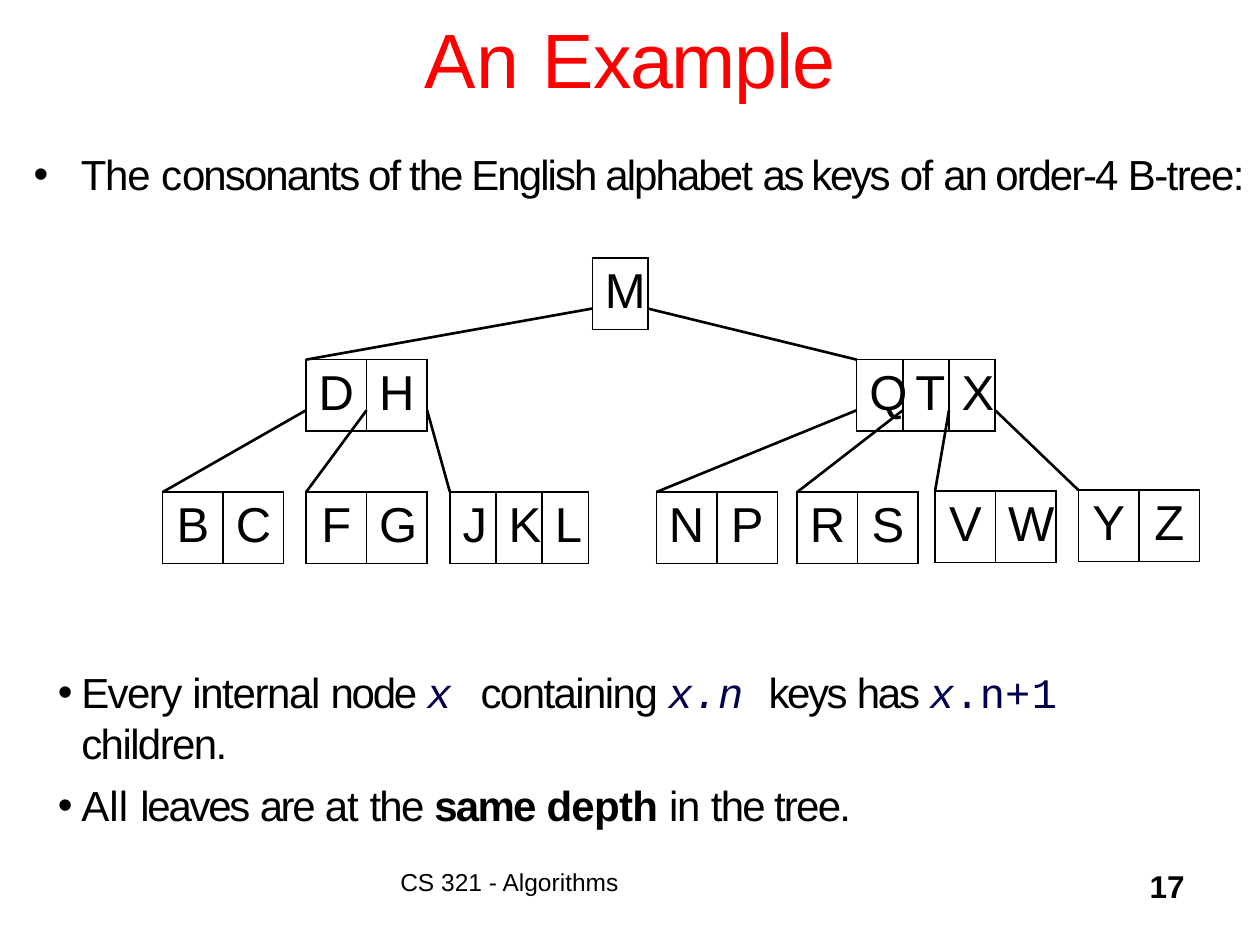
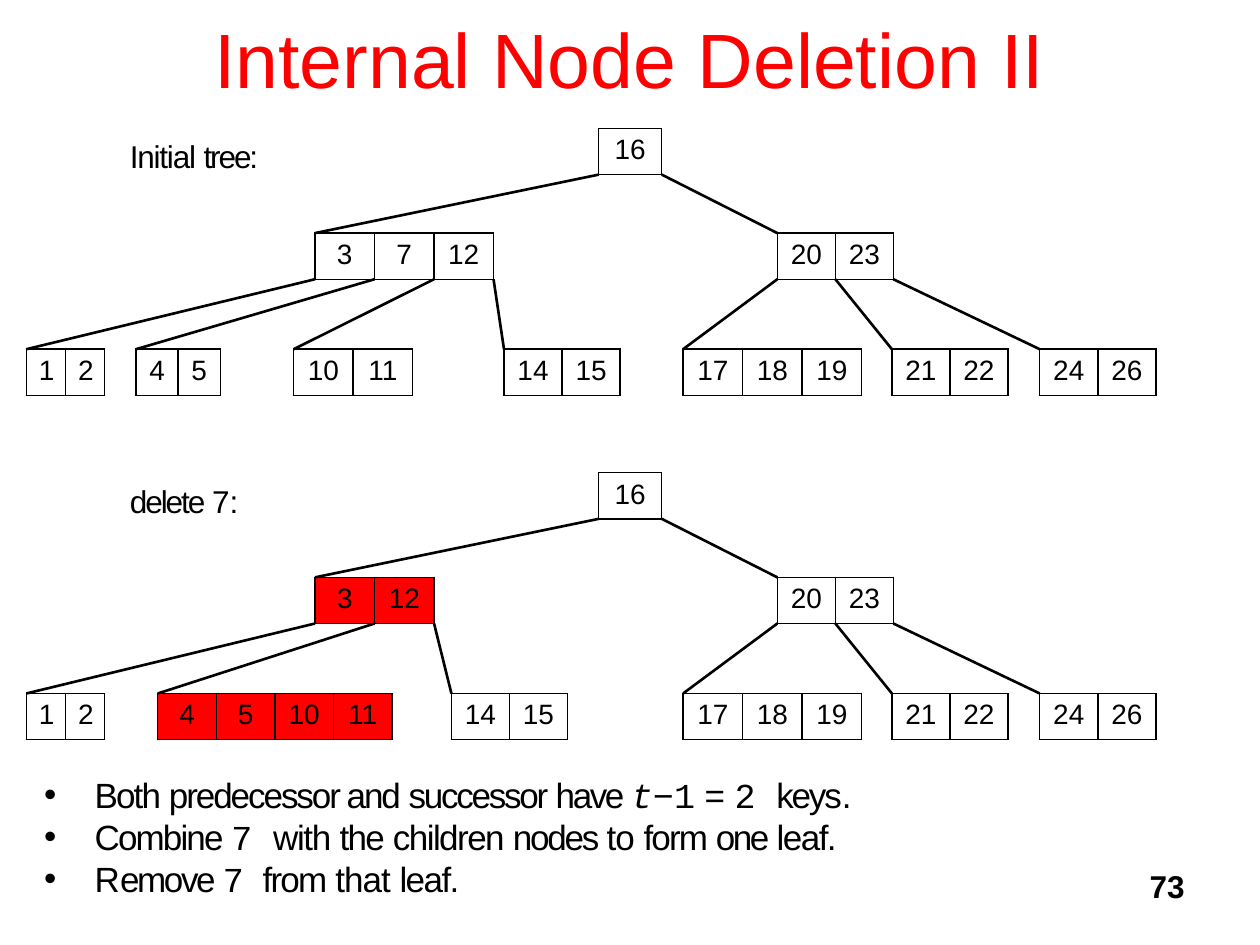
from dataclasses import dataclass, field

from lxml import etree
from pptx import Presentation
from pptx import util as u
from pptx.dml.color import RGBColor
from pptx.enum import shapes, text
from pptx.oxml.ns import qn

COLOURS = {"title": "FF0000", "ink": "000000", "code": "00004C",
           "changed": "FF0000", "paper": "FFFFFF"}

# Run styles: font, colour, bold, italic
STYLES = {
    "plain": ("Arial", "ink", False, False),
    "bold": ("Arial", "ink", True, False),
    "title": ("Arial", "title", False, False),
    "code": ("Courier New", "code", False, False),
    "code var": ("Courier New", "code", False, True),
    "mono": ("Courier New", "ink", False, False),
    "mono var": ("Courier New", "ink", False, True),
}


@dataclass
class Node:
    keys: str
    left: float
    key_width: float
    children: list = field(default_factory=list)
    fill: str = ""
    lift: float = 0


@dataclass
class TreeStyle:
    levels: tuple      # distance of each level from the root's top
    row_height: float
    edge_drop: float   # where edges leave a node, from its top
    size: int
    fill: str = ""


LETTER_TREE = TreeStyle((0, 2.05, 4.72), 1.43, 1.02, 28)
NUMBER_TREE = TreeStyle((0, 2.11, 4.45), 0.93, 0.93, 16, "paper")


def rgb(name):
    return RGBColor.from_string(COLOURS[name])


def style_font(font, size, style):
    face, colour, font.bold, font.italic = STYLES[style]
    font.name, font.size = face, u.Pt(size)
    font.color.rgb = rgb(colour)


def add_runs(paragraph, runs, size):
    """Each run is (words, letter spacing in points, optional style)."""
    for words, spacing, *style in runs:
        run = paragraph.add_run()
        run.text = words
        style_font(run.font, size, style[0] if style else "plain")
        run.font._element.set("spc", str(round(spacing * 100)))


def add_bullet(paragraph, indent):
    props = paragraph._p.get_or_add_pPr()
    props.set("marL", str(u.Cm(indent)))
    props.set("indent", str(-u.Cm(indent)))
    etree.SubElement(props, qn("a:buFont")).set("typeface", "Arial")
    etree.SubElement(props, qn("a:buChar")).set("char", "•")


def add_text(slide, place, paragraphs, size, align=text.PP_ALIGN.LEFT,
             bullet=0, gap=0, inset_top=None, anchor=text.MSO_ANCHOR.TOP):
    """An inset_top also takes away the other three margins."""
    frame = slide.shapes.add_textbox(*map(u.Cm, place)).text_frame
    frame.word_wrap = True
    frame.vertical_anchor = anchor
    if inset_top is not None:
        frame.margin_left = frame.margin_right = frame.margin_bottom = 0
        frame.margin_top = u.Cm(inset_top)
    for index, runs in enumerate(paragraphs):
        paragraph = frame.add_paragraph() if index else frame.paragraphs[0]
        if bullet:
            add_bullet(paragraph, bullet)
        paragraph.alignment = align
        if index and gap:
            paragraph.space_before = u.Pt(gap)
        add_runs(paragraph, runs, size)


def add_title(slide, runs, left=0.0):
    add_text(slide, (left, -0.43, 25.4 - 2 * left, 3.17),
             [[(words, spacing, "title") for words, spacing in runs]], 44,
             text.PP_ALIGN.CENTER, anchor=text.MSO_ANCHOR.MIDDLE)


def add_page_number(slide, number):
    add_text(slide, (18.85, 17.35, 5.28, 1.27), [[(number, 0, "bold")]], 18,
             text.PP_ALIGN.RIGHT)


def border_cell(cell):
    props = cell._tc.get_or_add_tcPr()
    for position, side in enumerate(("a:lnL", "a:lnR", "a:lnT", "a:lnB")):
        line = etree.Element(qn(side), w=str(u.Pt(1)))
        solid = etree.SubElement(line, qn("a:solidFill"))
        etree.SubElement(solid, qn("a:srgbClr")).set("val", COLOURS["ink"])
        props.insert(position, line)


def add_node(slide, node, top, style):
    keys = node.keys.split()
    table = slide.shapes.add_table(
        1, len(keys), u.Cm(node.left), u.Cm(top),
        u.Cm(node.key_width * len(keys)), u.Cm(style.row_height)).table
    table.first_row = table.horz_banding = False
    fill = node.fill or style.fill
    for cell, key in zip(table.iter_cells(), keys):
        cell.text_frame.text = key
        paragraph = cell.text_frame.paragraphs[0]
        paragraph.alignment = text.PP_ALIGN.CENTER
        style_font(paragraph.runs[0].font, style.size, "plain")
        if fill:
            cell.fill.solid()
            cell.fill.fore_color.rgb = rgb(fill)
        else:
            cell.fill.background()
        border_cell(cell)


def add_edge(slide, *ends):
    edge = slide.shapes.add_connector(shapes.MSO_CONNECTOR.STRAIGHT,
                                      *map(u.Cm, ends))
    edge.line.color.rgb = rgb("ink")
    edge.line.width = u.Pt(1.5)
    etree.SubElement(edge._element.spPr, qn("a:effectLst"))


def add_tree(slide, root, top, style):
    """Draw the nodes, then an edge from each key boundary to its child."""
    edges = []

    def visit(node, level):
        node_top = top + style.levels[level] - node.lift
        add_node(slide, node, node_top, style)
        for slot, child in enumerate(node.children):
            edges.append((node.left + slot * node.key_width,
                          node_top + style.edge_drop,
                          child.left,
                          top + style.levels[level + 1] - child.lift))
            visit(child, level + 1)

    visit(root, 0)
    for edge in edges:
        add_edge(slide, *edge)


def number_root(left_child):
    """Both number trees share the root and its right subtree."""
    right_child = Node("20 23", 15.67, 1.17, [
        Node("17 18 19", 13.77, 1.2),
        Node("21 22", 17.98, 1.17),
        Node("24 26", 20.96, 1.17)])
    return Node("16", 12.07, 1.27, [left_child, right_child])


def build_example(slide):
    add_title(slide, [("An ", 0.5), ("Example", -0.7)], 1.9)
    add_text(slide, (0.43, 2.87, 24.97, 1.75), [[
        ("The ", -0.7), ("c", -1.3),
        ("onsonants of the English alphabet ", -1.1), ("as keys ", -1.4),
        ("of ", -0.9), ("an order-4 ", -1.2), ("B-tree:", -0.9)]],
        24, bullet=0.95)
    add_text(slide, (7.82, 17.35, 9.73, 1.27),
             [[("CS 321 - Algorithms", 0)]], 14)
    add_page_number(slide, "17")

    # Properties of the tree
    add_text(slide, (1.17, 13.16, 23.27, 2.6), [
        [("Every ", -0.9), ("internal ", -0.8), ("node ", -1.3),
         ("x ", 1, "code var"), ("containing ", -0.9),
         ("x.n ", 0, "code var"), ("keys ", -1.4), ("has ", -1.3),
         ("x", 0, "code var"), (".n", 0, "code"), ("+", 1, "code"),
         ("1 ", -0.1, "code"), ("children.", -0.9)],
        [("All ", 0.1), ("leaves ", -1.3), ("are ", -1.4), ("at ", -0.6),
         ("the ", -1), ("same ", -1, "bold"), ("depth ", -0.4, "bold"),
         ("in ", -0.7), ("the tree.", -1)]],
        24, bullet=0.47, gap=7, inset_top=0.28)

    # Consonant tree
    add_tree(slide, Node("M", 11.94, 1.12, [
        Node("D H", 6.17, 1.22, [
            Node("B C", 3.28, 1.22),
            Node("F G", 6.17, 1.22),
            Node("J K L", 9.07, 0.93)]),
        Node("Q T X", 17.27, 0.93, [
            Node("N P", 13.23, 1.22),
            Node("R S", 16.07, 1.22),
            Node("V W", 18.85, 1.22, lift=0.02),
            Node("Y Z", 21.74, 1.22, lift=0.04)])]), 5.2, LETTER_TREE)


def build_deletion(slide):
    add_title(slide, [("Internal Node Deletion II", 0)])
    add_page_number(slide, "73")

    # Tree before the deletion
    add_text(slide, (2.62, 2.74, 2.9, 0.81),
             [[("Initial ", -0.7), ("tree:", -1.2)]], 18, inset_top=0.03)
    add_tree(slide, number_root(Node("3 7 12", 6.35, 1.2, [
        Node("1 2", 0.53, 0.79),
        Node("4 5", 2.74, 0.85),
        Node("10 11", 5.92, 1.2),
        Node("14 15", 10.16, 1.17)])), 2.59, NUMBER_TREE)

    # Tree after the deletion
    add_text(slide, (2.62, 9.68, 2.9, 0.81),
             [[("delete ", -1.2), ("7", 0), (":", -1.2)]], 18,
             inset_top=0.03)
    add_tree(slide, number_root(Node("3 12", 6.35, 1.2, [
        Node("1 2", 0.53, 0.79),
        Node("4 5 10 11", 3.18, 1.18, fill="changed"),
        Node("14 15", 9.1, 1.17)], fill="changed")), 9.53, NUMBER_TREE)

    # Explanation
    add_text(slide, (0.89, 15.57, 17.75, 2.6), [
        [("Both ", -1.1), ("predecessor and ", -1.2), ("successor ", -1.3),
         ("have ", -1.4), ("t", 0.1, "mono var"), ("−", -0.2, "mono"),
         ("1", -0.1, "mono"), (" = ", -0.1), ("2 ", -0.1, "mono"),
         ("keys", -1.3), (".", -1.1)],
        [("Combine ", -1.1), ("7 ", -0.1, "mono"), ("with ", -0.8),
         ("the ", -1), ("children ", -0.9), ("nodes ", -1.3), ("to ", -0.6),
         ("form ", -1.1), ("one ", -1.4), ("leaf.", -0.9)],
        [("R", -0.9), ("emove ", -1.4), ("7 ", -1.4, "mono"), ("from ", -1),
         ("that ", -0.6), ("leaf.", -0.9)]],
        20, text.PP_ALIGN.JUSTIFY, bullet=1.02, inset_top=0.03)


def main():
    deck = Presentation()
    deck.slide_width, deck.slide_height = u.Cm(25.4), u.Cm(19.05)
    for build in (build_example, build_deletion):
        build(deck.slides.add_slide(deck.slide_layouts[6]))
    deck.save("out.pptx")


if __name__ == "__main__":
    main()
